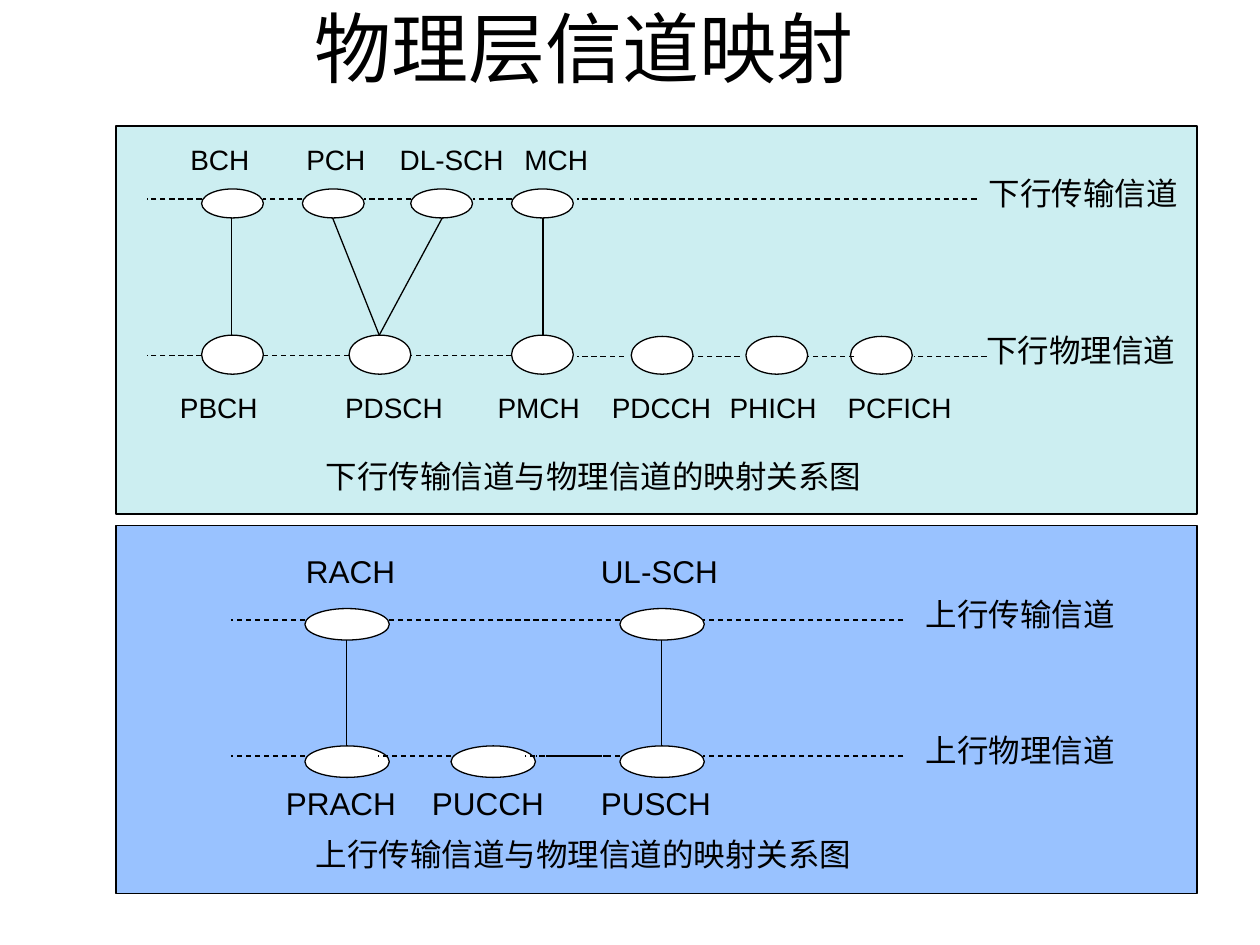
"""Build a slide that maps LTE transport channels to physical channels."""
from lxml import etree
from pptx import Presentation
from pptx.dml.color import RGBColor
from pptx.enum.dml import MSO_LINE
from pptx.enum.shapes import MSO_CONNECTOR, MSO_SHAPE
from pptx.enum.text import MSO_ANCHOR, MSO_AUTO_SIZE, PP_ALIGN
from pptx.oxml.ns import qn
from pptx.util import Inches, Pt


def color(hex_value):
    return RGBColor.from_string(hex_value)


def write(frame, text, size, align):
    frame.text = text
    frame.word_wrap = True
    paragraph = frame.paragraphs[0]
    paragraph.alignment = align
    font = paragraph.runs[0].font
    font.name = "Arial"
    font.size = Pt(size)
    font.color.rgb = color("000000")


LEFT, CENTER = PP_ALIGN.LEFT, PP_ALIGN.CENTER

deck = Presentation()
deck.slide_width, deck.slide_height = Inches(10), Inches(7.5)
slide = deck.slides.add_slide(deck.slide_layouts[5])

heading = slide.shapes.title
heading.left, heading.top = Inches(0.59), Inches(0.06)
heading.width, heading.height = Inches(8.09), Inches(0.62)
write(heading.text_frame, "物理层信道映射", 44, CENTER)
heading.text_frame.vertical_anchor = MSO_ANCHOR.MIDDLE
heading.text_frame.auto_size = MSO_AUTO_SIZE.NONE

panels = [(1, 3.08, "CCEEF1"), (4.17, 2.92, "99C2FF")]
node_rows = [
    (1.5, 0.49, 0.23, [1.6, 2.4, 3.26, 4.06]),
    (2.66, 0.49, 0.31, [1.6, 2.77, 4.06]),
    (2.67, 0.49, 0.3, [5.01, 5.92, 6.75]),
    (4.83, 0.67, 0.25, [2.42, 4.92]),
    (5.92, 0.67, 0.25, [2.42, 3.58, 4.92]),
]
outlines = [(MSO_SHAPE.RECTANGLE, 0.92, top, 8.58, height, fill)
            for top, height, fill in panels]
outlines += [(MSO_SHAPE.OVAL, left, top, width, height, "FFFFFF")
             for top, width, height, lefts in node_rows for left in lefts]
for kind, left, top, width, height, fill in outlines:
    outline = slide.shapes.add_shape(
        kind, Inches(left), Inches(top), Inches(width), Inches(height))
    outline.shadow.inherit = False
    outline.fill.solid()
    outline.fill.fore_color.rgb = color(fill)
    outline.line.color.rgb = color("000000")
    outline.line.width = Pt(0.75)

mappings = [
    (1.84, 1.73, 1.84, 2.66),
    (2.64, 1.73, 3.01, 2.66),
    (3.51, 1.73, 3.01, 2.66),
    (4.31, 1.73, 4.31, 2.66),
    (2.75, 5.08, 2.75, 5.92),
    (5.25, 5.08, 5.25, 5.92),
]
dashed_rows = [
    (1.58, [(1.17, 1.6), (2.09, 2.4), (2.89, 3.26), (3.75, 4.06), (4.58, 4.95),
            (5, 6.58), (6.58, 7.17), (7.17, 7.75)]),
    (2.82, [(1.17, 1.6), (2.09, 2.77), (3.26, 4.06)]),
    (2.83, [(4.58, 4.95), (5.5, 5.87), (6.41, 6.78), (7.25, 7.83)]),
    (4.92, [(1.83, 2.42), (3.08, 4.92), (5.58, 7.17)]),
    (6, [(1.83, 2.42), (3, 3.58), (4.17, 4.75), (4.25, 4.83), (4.33, 4.92),
         (5.58, 7.17)]),
]
links = [(ends, None) for ends in mappings]
links += [((end, level, start, level), MSO_LINE.DASH)
          for level, spans in dashed_rows for start, end in spans]
for ends, dash in links:
    link = slide.shapes.add_connector(
        MSO_CONNECTOR.STRAIGHT, *[Inches(value) for value in ends])
    link.line.color.rgb = color("000000")
    link.line.width = Pt(0.75)
    link.line.dash_style = dash
    etree.SubElement(link._element.spPr, qn("a:effectLst"))

label_rows = [
    (1.08, 16, CENTER, [("BCH", 1.33, 0.83), ("PCH", 2.25, 0.83),
                        ("DL-SCH", 3, 1.17), ("MCH", 4, 0.83)]),
    (3.05, 16, LEFT, [("PBCH", 1.33, 0.88), ("PDSCH", 2.64, 1.02)]),
    (3.05, 16, CENTER, [("PMCH", 3.83, 0.89), ("PDCCH", 4.75, 1),
                        ("PHICH", 5.69, 0.89), ("PCFICH", 6.61, 1.06)]),
    (1.33, 18, LEFT, [("下行传输信道", 7.75, 1.83)]),
    (2.58, 18, LEFT, [("下行物理信道", 7.73, 1.94)]),
    (3.58, 18, CENTER, [("下行传输信道与物理信道的映射关系图", 1.75, 5.92)]),
    (4.33, 18, LEFT, [("RACH", 2.33, 1), ("UL-SCH", 4.67, 1.33)]),
    (4.67, 18, LEFT, [("上行传输信道", 7.25, 2)]),
    (5.75, 18, LEFT, [("上行物理信道", 7.25, 2)]),
    (6.17, 18, LEFT, [("PRACH", 2.17, 1.33), ("PUCCH", 3.33, 1.33),
                      ("PUSCH", 4.67, 1.33)]),
    (6.58, 18, CENTER, [("上行传输信道与物理信道的映射关系图", 1.67, 5.92)]),
]
for top, size, align, labels in label_rows:
    for text, left, width in labels:
        label = slide.shapes.add_textbox(
            Inches(left), Inches(top), Inches(width),
            Inches(0.4 if size == 18 else 0.37))
        write(label.text_frame, text, size, align)
        label.text_frame.auto_size = MSO_AUTO_SIZE.SHAPE_TO_FIT_TEXT

deck.save("out.pptx")
